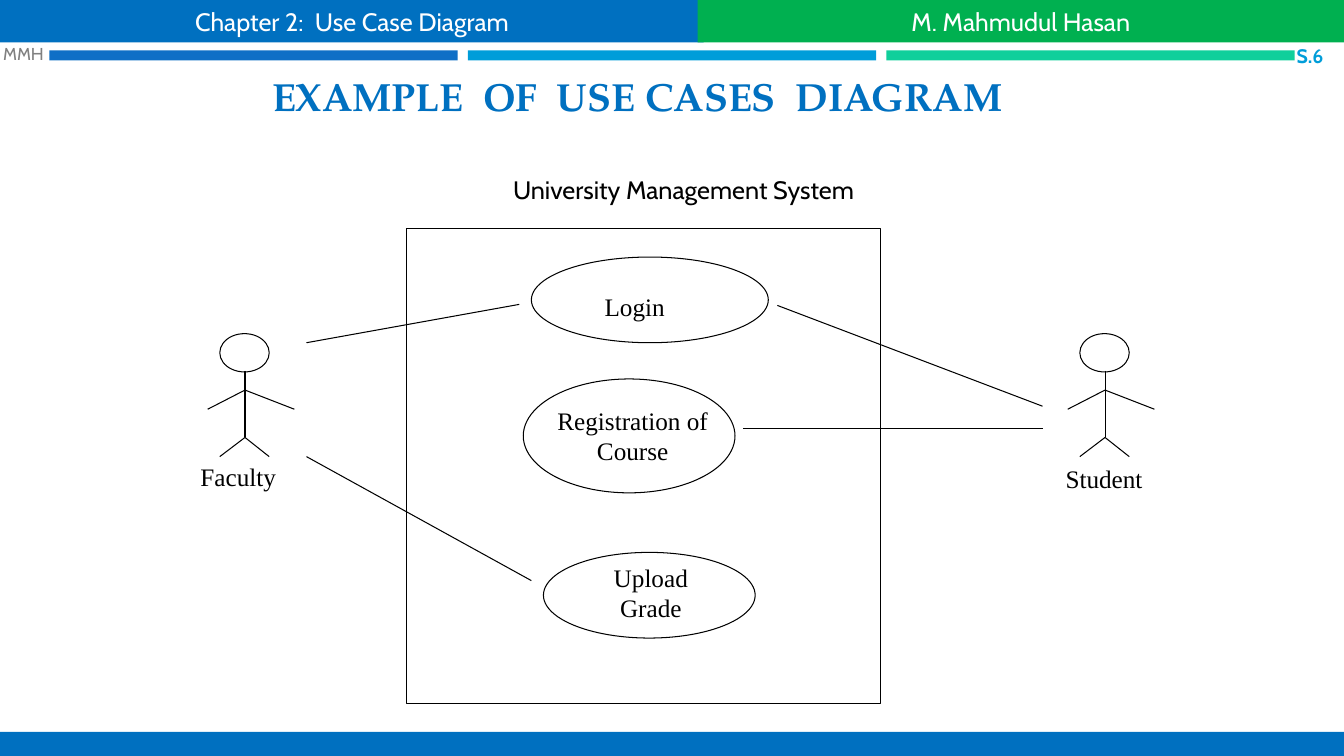
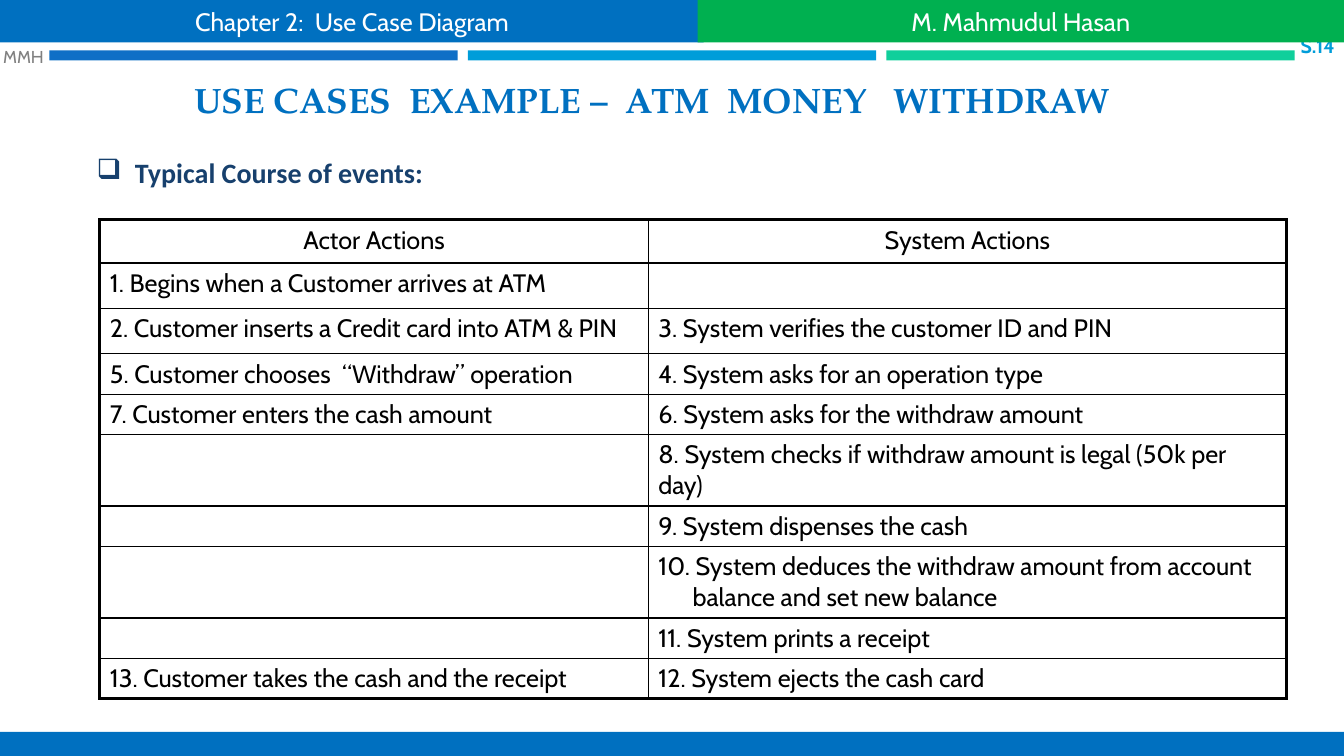
from lxml.etree import SubElement
from pptx import Presentation
from pptx.dml.color import RGBColor
from pptx.enum.shapes import MSO_CONNECTOR, MSO_SHAPE
from pptx.enum.text import MSO_ANCHOR as Anchor, PP_ALIGN as Align
from pptx.oxml.ns import qn
from pptx.util import Pt

EMU_PER_PX = 9144
SLIDE_WIDTH, SLIDE_HEIGHT = 1333, 750

BLUE, GREEN, BLACK, WHITE = "0070C0", "00B050", "000000", "FFFFFF"
NAVY, GRAY, CYAN = "17406D", "808080", "009DD9"
STRIPES = ("0F6FC6", CYAN, "10CF9B")
SANS, SERIF, TITLE_FONT = "Cabin", "Times New Roman", "TeX Gyre Pagella"

EVENTS = [
    ("Actor Actions", "System Actions", 43),
    ("1. Begins when a Customer arrives at ATM", "", 45),
    ("2. Customer inserts a Credit card into ATM & PIN",
     "3. System verifies the customer ID and PIN", 45),
    ("5. Customer chooses  “Withdraw” operation",
     "4. System asks for an operation type", 40),
    ("7. Customer enters the cash amount",
     "6. System asks for the withdraw amount", 40),
    ("", "8. System checks if withdraw amount is legal (50k per day)", 71),
    ("", "9. System dispenses the cash", 40),
    ("", "10. System deduces the withdraw amount from account\v"
         "balance and set new balance", 71),
    ("", "11. System prints a receipt", 40),
    ("13. Customer takes the cash and the receipt",
     "12. System ejects the cash card", 40),
]


def px(*lengths):
    return [length * EMU_PER_PX for length in lengths]


def color(hex_string):
    return RGBColor.from_string(hex_string)


def hang(paragraph, indent, bullet=None):
    """Indent all lines but the first, which may start with a bullet."""
    properties = paragraph._p.get_or_add_pPr()
    properties.set("marL", str(indent * EMU_PER_PX))
    properties.set("indent", str(-indent * EMU_PER_PX))
    if bullet:
        SubElement(properties, qn("a:buChar"), char=bullet)


def style(paragraph, size, font_name, font_color, bold=False, align=Align.LEFT):
    paragraph.alignment = align
    font = paragraph.font
    font.size, font.name, font.bold = Pt(size), font_name, bold
    font.color.rgb = color(font_color)


def add_text(slide, box, text, size, font_name=SERIF, font_color=BLACK, bold=False,
             align=Align.LEFT, anchor=Anchor.TOP, inset=True, bullet=None):
    frame = slide.shapes.add_textbox(*px(*box)).text_frame
    frame.word_wrap = True
    frame.vertical_anchor = anchor
    if not inset:
        frame.margin_left = frame.margin_right = 0
        frame.margin_top = frame.margin_bottom = 0
    frame.text = text
    paragraph = frame.paragraphs[0]
    if bullet:
        hang(paragraph, 38, bullet)
    style(paragraph, size, font_name, font_color, bold, align)


def add_band(slide, box, fill, text=""):
    band = slide.shapes.add_shape(MSO_SHAPE.RECTANGLE, *px(*box))
    band.shadow.inherit = False
    band.fill.solid()
    band.fill.fore_color.rgb = color(fill)
    band.line.fill.background()
    if text:
        band.text_frame.vertical_anchor = Anchor.MIDDLE
        band.text_frame.text = text
        style(band.text_frame.paragraphs[0], 18, SANS, WHITE, align=Align.CENTER)


def add_outline(slide, preset, box):
    shape = slide.shapes.add_shape(preset, *px(*box))
    shape.shadow.inherit = False
    shape.fill.background()
    shape.line.color.rgb = color(BLACK)
    shape.line.width = Pt(0.75)


def add_line(slide, start, end):
    line = slide.shapes.add_connector(MSO_CONNECTOR.STRAIGHT, *px(*start, *end))
    line.line.color.rgb = color(BLACK)
    line.line.width = Pt(0.75)
    SubElement(line._element.spPr, qn("a:effectLst"))


def add_frame(presentation, title, title_box, title_size, number, number_at, initials_top):
    """Add a slide with the title, stripes and bands that all slides share."""
    slide = presentation.slides.add_slide(presentation.slide_layouts[6])
    for index, stripe in enumerate(STRIPES):
        add_band(slide, (49 + 415 * index, 50, 405, 10), stripe)
    add_text(slide, title_box, title, title_size, TITLE_FONT, BLUE, True,
             Align.CENTER, Anchor.BOTTOM)
    add_text(slide, (*number_at, 43, 22), number, 14, SANS, CYAN, True,
             anchor=Anchor.MIDDLE, inset=False)
    add_text(slide, (3, initials_top, 45, 30), "MMH", 12.3, SANS, GRAY,
             anchor=Anchor.MIDDLE, inset=False)
    add_band(slide, (0, 726, SLIDE_WIDTH, 24), BLUE)
    add_band(slide, (0, 0, 698, 42), BLUE, "Chapter 2:  Use Case Diagram")
    add_band(slide, (692, 0, 641, 42), GREEN, "M. Mahmudul Hasan")
    return slide


def add_actor(slide, center, top, name, name_left, name_top):
    """Add a stick figure with its head at the top and its name below."""
    neck, shoulder, hip, foot = top + 37, top + 56, top + 103, top + 122
    add_outline(slide, MSO_SHAPE.OVAL, (center - 25, top, 49, 38))
    add_line(slide, (center, neck), (center, hip))
    for joint, reach, end in ((shoulder, 49, top + 75), (shoulder, -37, top + 75),
                              (hip, 24, foot), (hip, -25, foot)):
        add_line(slide, (center, joint), (center + reach, end))
    add_text(slide, (name_left, name_top, 130, 40), name, 18)


def add_use_case(slide, oval, label, label_box):
    add_outline(slide, MSO_SHAPE.OVAL, oval)
    add_text(slide, label_box, label, 18, align=Align.CENTER)


def add_borders(cell, widths):
    properties = cell._tc.get_or_add_tcPr()
    for side, width in zip("LRTB", widths):
        border = SubElement(properties, qn(f"a:ln{side}"), w=str(Pt(width)))
        fill = SubElement(border, qn("a:solidFill"))
        SubElement(fill, qn("a:srgbClr"), val=BLACK)


def add_event_table(slide, left, top, column_widths):
    heights = [row[-1] for row in EVENTS]
    last_row, last_column = len(EVENTS) - 1, len(column_widths) - 1
    box = (left, top, sum(column_widths), sum(heights))
    table = slide.shapes.add_table(len(EVENTS), len(column_widths), *px(*box)).table
    table.first_row = table.horz_banding = False
    for column, width in zip(table.columns, px(*column_widths)):
        column.width = width
    for row_index, (*texts, height) in enumerate(EVENTS):
        table.rows[row_index].height = height * EMU_PER_PX
        for column_index, text in enumerate(texts):
            cell = table.cell(row_index, column_index)
            on_edge = (column_index == 0, column_index == last_column,
                       row_index == 0, row_index == last_row)
            add_borders(cell, [2.25 if edge else 1 for edge in on_edge])
            cell.fill.background()
            cell.text = text
            paragraph = cell.text_frame.paragraphs[0]
            if "\v" in text:
                hang(paragraph, 34)
            style(paragraph, 18, SANS, BLACK,
                  align=Align.LEFT if row_index else Align.CENTER)


def build_diagram_slide(presentation):
    slide = add_frame(presentation, "EXAMPLE  OF  USE CASES  DIAGRAM",
                      (29, 64, 1206, 59), 28, "S.6", (1286, 44), 38)
    add_text(slide, (499, 168, 364, 40), "University Management System", 18, SANS)
    add_outline(slide, MSO_SHAPE.RECTANGLE, (403, 227, 470, 471))
    add_actor(slide, 243, 331, "Faculty", 189, 453)
    add_actor(slide, 1096, 331, "Student", 1047, 455)
    add_use_case(slide, (527, 255, 235, 85), "Login", (533, 284, 193, 40))
    add_use_case(slide, (519, 376, 210, 113), "Registration of Course",
                 (523, 397, 209, 71))
    add_use_case(slide, (539, 548, 210, 85), "Upload\vGrade", (549, 553, 193, 71))
    for start, end in (((304, 340), (515, 302)), ((304, 453), (527, 576)),
                       ((1034, 425), (737, 425)), ((1034, 403), (771, 303))):
        add_line(slide, start, end)


def build_events_slide(presentation):
    slide = add_frame(presentation, "USE CASES  EXAMPLE –  ATM  MONEY   WITHDRAW",
                      (44, 69, 1206, 56), 25.2, "S.14", (1290, 34), 41)
    add_text(slide, (86, 146, 1194, 50), "Typical Course of events:", 20, "Calibri",
             NAVY, True, anchor=Anchor.MIDDLE, bullet="❑")
    add_event_table(slide, 99, 218, (544, 633))


def main():
    presentation = Presentation()
    presentation.slide_width, presentation.slide_height = px(SLIDE_WIDTH, SLIDE_HEIGHT)
    build_diagram_slide(presentation)
    build_events_slide(presentation)
    presentation.save("out.pptx")


if __name__ == "__main__":
    main()
